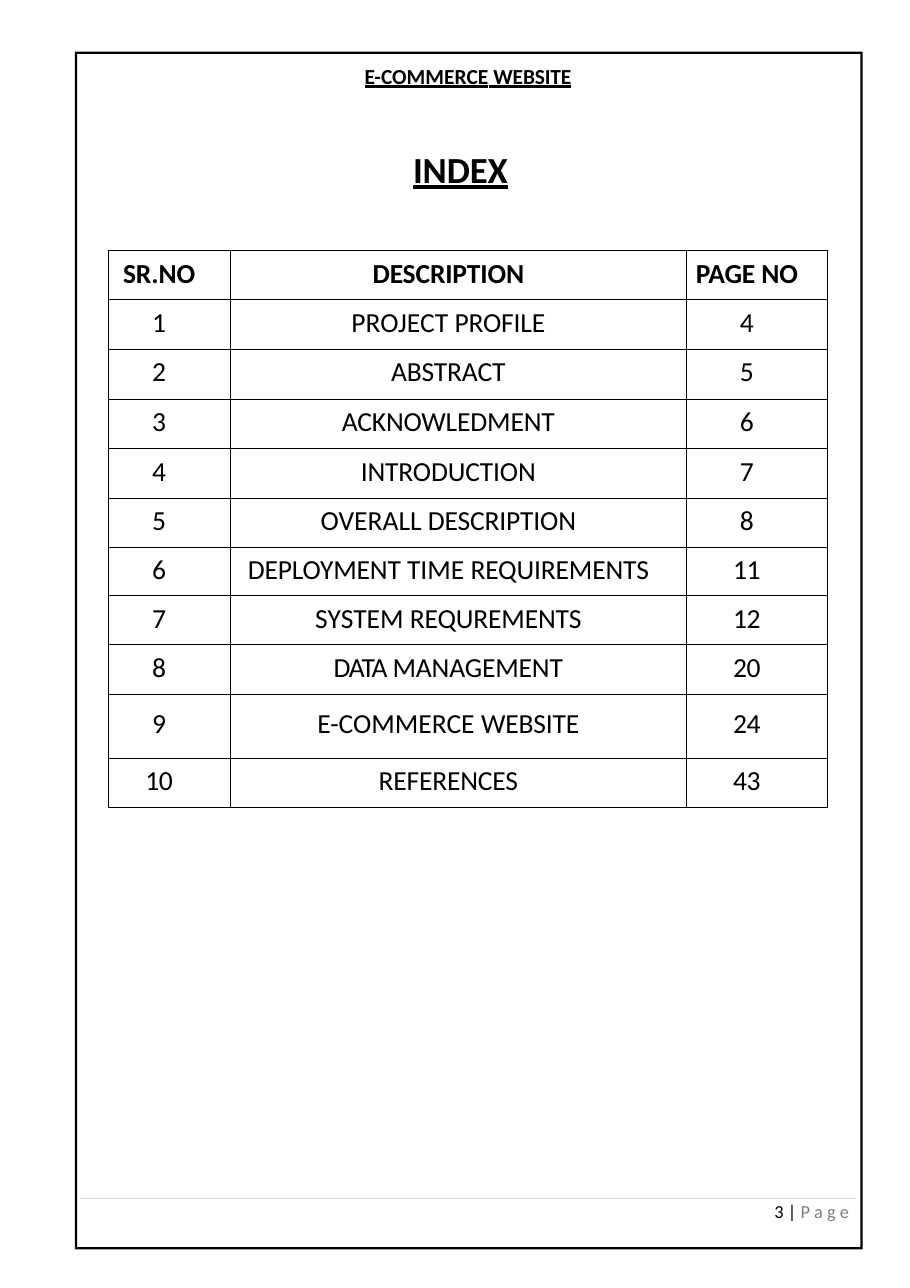
from pptx import Presentation
from pptx.dml.color import RGBColor
from pptx.enum.shapes import MSO_CONNECTOR, MSO_SHAPE as Shape
from pptx.enum.text import PP_ALIGN as Align
from pptx.oxml.ns import qn
from pptx.util import Inches, Pt
from lxml.etree import SubElement

FONT = "Calibri"
BLACK, GRAY, LIGHT_GRAY = "000000", "7E7E7E", "D9D9D9"

HEADINGS = ("SR.NO", "DESCRIPTION", "PAGE NO")
ENTRIES = [
    ([("PROJECT ", 0), ("PROFILE", -0.1)], 4),
    ([("ABSTRACT", -0.1)], 5),
    ([("ACKNOWLEDMENT", -0.1)], 6),
    ([("INTRODUCTION", -0.1)], 7),
    ([("OVERALL ", 0), ("DESCRIPTION", -0.1)], 8),
    ([("DEPLOYMENT ", -0.1), ("TIME ", 0), ("REQUIREMENTS", -0.1)], 11),
    ([("SYSTEM ", 0), ("REQUREMENTS", -0.1)], 12),
    ([("DATA ", -0.8), ("MANAGEMENT", -0.1)], 20),
    ([("E-", -0.1), ("COMMERCE ", 0), ("WEBSITE", -0.1)], 24),
    ([("REFERENCES", -0.1)], 43),
]
COLUMN_WIDTHS = (1.11, 4.14, 1.28)
ROW_HEIGHTS = (0.45, 0.45, 0.45, 0.45, 0.45, 0.45, 0.43, 0.45, 0.45, 0.58, 0.45)
SPACES_BEFORE = (4.4, 4.4, 4, 4.5, 4.5, 4.4, 3.5, 4.5, 4.5, 8.8, 4.4)
CELL_RIGHT_MARGIN = 0.18


def color(value):
    return RGBColor.from_string(value)


def add_span(para, text, size=18, spacing=0, bold=False, underline=False, fill=BLACK):
    span = para.add_run()
    span.text = text
    font = span.font
    font.name, font.size, font.bold, font.underline = FONT, Pt(size), bold, underline
    font.color.rgb = color(fill)
    if spacing:
        font._element.set("spc", str(round(spacing * 100)))


def add_box(page, left, top, width, height, inset=0, indent=0, before=0):
    box = page.shapes.add_textbox(Inches(left), Inches(top), Inches(width), Inches(height))
    frame = box.text_frame
    frame.word_wrap = True
    frame.margin_left = frame.margin_right = frame.margin_bottom = 0
    frame.margin_top = Inches(inset)
    para = frame.paragraphs[0]
    para.space_before = Pt(before)
    para._p.get_or_add_pPr().set("marL", str(Inches(indent)))
    return para


def add_borders(cell):
    properties = cell._tc.get_or_add_tcPr()
    for side in ("lnL", "lnR", "lnT", "lnB"):
        line = SubElement(properties, qn(f"a:{side}"), w=str(Pt(0.5)))
        fill = SubElement(line, qn("a:solidFill"))
        SubElement(fill, qn("a:srgbClr"), val=BLACK)


def fill_cell(cell, spans, before, bold):
    cell.margin_left = cell.margin_bottom = 0
    cell.margin_right = Inches(CELL_RIGHT_MARGIN)
    cell.margin_top = Pt(before)
    add_borders(cell)
    cell.fill.background()
    para = cell.text_frame.paragraphs[0]
    para.alignment = Align.CENTER
    para.space_before = Pt(before)
    for text, spacing in spans:
        add_span(para, text, spacing=spacing, bold=bold)


def number_spans(number):
    text = str(number)
    return [(text, -0.5 if len(text) == 1 else -0.2)]


def add_index(page):
    rows = [[[(heading, -0.1)] for heading in HEADINGS]]
    for number, (description, page_number) in enumerate(ENTRIES, 1):
        rows.append([number_spans(number), description, number_spans(page_number)])
    table = page.shapes.add_table(
        len(rows), len(HEADINGS), Inches(0.98), Inches(2.27),
        Inches(sum(COLUMN_WIDTHS)), Inches(sum(ROW_HEIGHTS))).table
    table.first_row = table.horz_banding = False
    for column, width in zip(table.columns, COLUMN_WIDTHS):
        column.width = Inches(width)
    for row_number, (row, height, before) in enumerate(zip(rows, ROW_HEIGHTS, SPACES_BEFORE)):
        table.rows[row_number].height = Inches(height)
        for column_number, spans in enumerate(row):
            fill_cell(table.cell(row_number, column_number), spans, before, row_number == 0)


def add_page_frame(page):
    rule = page.shapes.add_connector(
        MSO_CONNECTOR.STRAIGHT, Inches(0.73), Inches(10.88), Inches(7.77), Inches(10.88))
    rule.line.color.rgb = color(LIGHT_GRAY)
    rule.line.width = Pt(0.5)
    SubElement(rule._element.spPr, qn("a:effectLst"))
    border = page.shapes.add_shape(
        Shape.FRAME, Inches(0.68), Inches(0.47), Inches(7.15), Inches(10.87))
    border.adjustments[0] = 0.02 / 7.15
    border.shadow.inherit = False
    border.fill.solid()
    border.fill.fore_color.rgb = color(BLACK)
    border.line.fill.background()


def main():
    deck = Presentation()
    deck.slide_width, deck.slide_height = Inches(8.26), Inches(11.69)
    page = deck.slides.add_slide(deck.slide_layouts[6])
    add_page_frame(page)

    header = add_box(page, 3.3, 0.56, 1.91, 0.26, inset=0.01, indent=0.01, before=1)
    for text, spacing in (("E-", -0.2), ("COMMERCE", 0), (" ", -0.4), ("WEBSITE", -0.1)):
        add_span(header, text, size=14, spacing=spacing, bold=True, underline=True)

    footer = add_box(page, 6.93, 10.92, 0.8, 0.19, indent=0.1)
    footer.line_spacing = Pt(12.4)
    add_span(footer, "3 | ", size=12)
    add_span(footer, "P a g ", size=12, fill=GRAY)
    add_span(footer, "e", size=12, spacing=-0.5, fill=GRAY)

    title = add_box(page, 2.6, 1.05, 3.48, 0.7, inset=0.28, indent=1.15, before=1)
    add_span(title, "INDEX", size=24, spacing=-0.1, bold=True, underline=True)

    add_index(page)
    deck.save("out.pptx")


if __name__ == "__main__":
    main()
